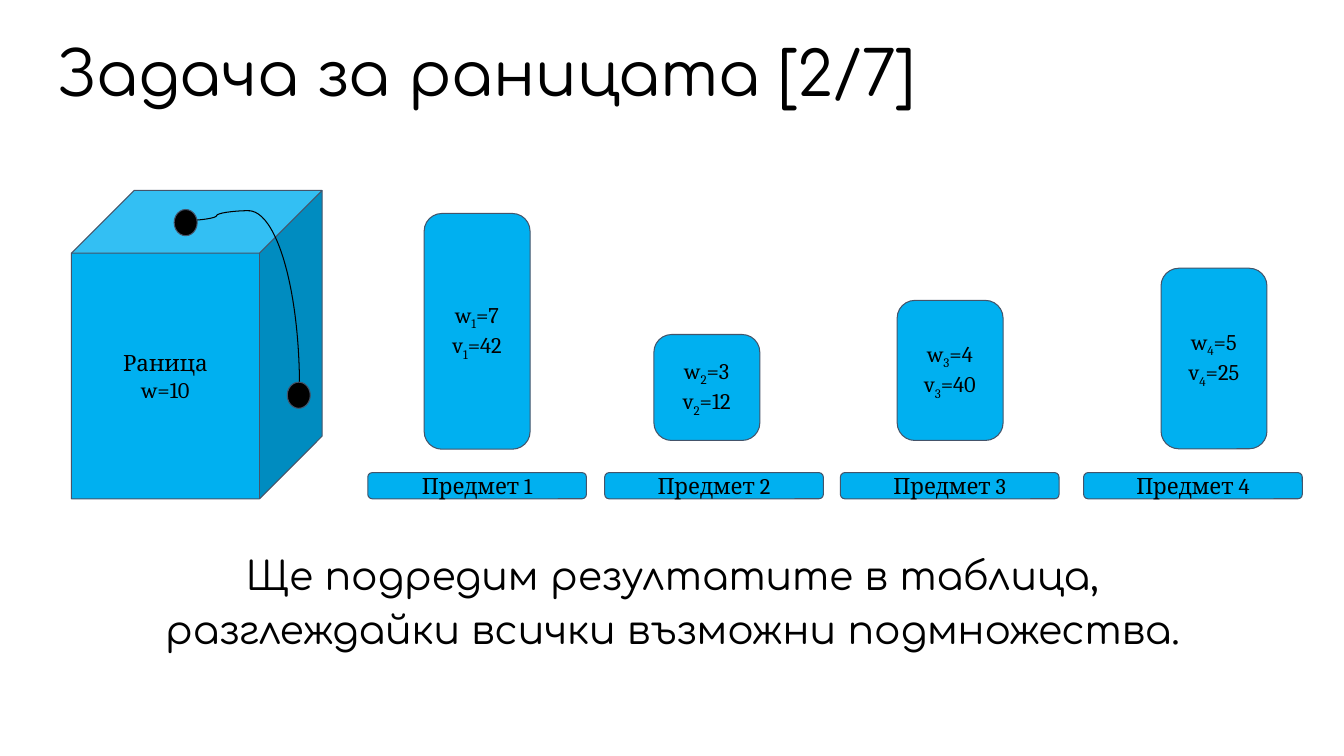
from dataclasses import dataclass

from lxml import etree
from pptx import Presentation
from pptx import util as u
from pptx.dml.color import RGBColor
from pptx.enum import shapes, text
from pptx.oxml.ns import qn


@dataclass(frozen=True)
class Theme:
    fill: RGBColor = RGBColor(0x00, 0xB0, 0xF0)
    outline: RGBColor = RGBColor(0x44, 0x54, 0x6A)
    ink: RGBColor = RGBColor(0x00, 0x00, 0x00)
    heading_font: str = "Comfortaa"
    shape_font: str = "Cambria"
    title_size: float = 44
    body_size: float = 28
    shape_size: float = 16
    line_width: float = 0.75


@dataclass(frozen=True)
class Box:
    left: float
    top: float
    width: float
    height: float

    def lengths(self) -> list[u.Length]:
        return [u.Cm(v) for v in (self.left, self.top, self.width, self.height)]


@dataclass(frozen=True)
class Item:
    number: int
    weight: int
    value: int
    left: float
    top: float
    height: float
    label_left: float


@dataclass(frozen=True)
class Run:
    text: str
    subscript: bool = False


THEME = Theme()
ITEM_WIDTH = 2.67
LABEL_TOP, LABEL_WIDTH, LABEL_HEIGHT = 11.91, 5.51, 0.66
KNAPSACK = Box(1.8, 4.8, 6.32, 7.77)
STRAP = Box(4.98, 5.31, 2.57, 8.92)
KNOBS = [Box(4.39, 5.28, 0.58, 0.66), Box(7.24, 9.63, 0.58, 0.66)]
ITEMS = [
    Item(1, 7, 42, 10.69, 5.38, 5.94, 9.27),
    Item(2, 3, 12, 16.48, 8.43, 2.67, 15.24),
    Item(3, 4, 40, 22.61, 7.57, 3.53, 21.18),
    Item(4, 5, 25, 29.26, 6.76, 4.55, 27.31),
]


def add_run(p, run: Run, font: str, size: float) -> None:
    r = p.add_run()
    r.text = run.text
    r.font.name = font
    r.font.size = u.Pt(size)
    r.font.color.rgb = THEME.ink
    if run.subscript:
        r._r.get_or_add_rPr().set("baseline", "-25000")


def set_insets(tf, horizontal: float, vertical: float) -> None:
    tf.margin_left = tf.margin_right = u.Cm(horizontal)
    tf.margin_top = tf.margin_bottom = u.Cm(vertical)


def style_line(line, color: RGBColor) -> None:
    line.color.rgb = color
    line.width = u.Pt(THEME.line_width)


def add_shape(s, kind, box: Box, fill: RGBColor | None, outline: RGBColor,
              lines: list[list[Run]] | None = None) -> None:
    sp = s.shapes.add_shape(kind, *box.lengths())
    sp.shadow.inherit = False
    style_line(sp.line, outline)
    if fill is None:
        sp.fill.background()
    else:
        sp.fill.solid()
        sp.fill.fore_color.rgb = fill
    if lines:
        tf = sp.text_frame
        tf.vertical_anchor = text.MSO_ANCHOR.MIDDLE
        set_insets(tf, 0.33, 0.33)
        for i, runs in enumerate(lines):
            p = tf.add_paragraph() if i else tf.paragraphs[0]
            p.alignment = text.PP_ALIGN.CENTER
            for run in runs:
                add_run(p, run, THEME.shape_font, THEME.shape_size)


def add_title(s) -> None:
    sp = s.shapes.title
    sp.left, sp.top, sp.width, sp.height = Box(1.14, 0.76, 31.55, 2.36).lengths()
    tf = sp.text_frame
    tf.auto_size = text.MSO_AUTO_SIZE.NONE
    tf.vertical_anchor = text.MSO_ANCHOR.MIDDLE
    set_insets(tf, 0.3, 0.1)
    p = tf.paragraphs[0]
    p.alignment = text.PP_ALIGN.LEFT
    p.line_spacing = 0.9
    add_run(p, Run("Задача за раницата [2/7]"), THEME.heading_font, THEME.title_size)


def add_body(s) -> None:
    tf = s.shapes.add_textbox(*Box(2.34, 13.61, 29.21, 4.22).lengths()).text_frame
    tf.word_wrap = True
    set_insets(tf, 0.1, 0.1)
    p = tf.paragraphs[0]
    p.alignment = text.PP_ALIGN.CENTER
    p.line_spacing = 1.15
    p.space_before = u.Pt(16)
    add_run(p, Run("Ще подредим резултатите в таблица, разглеждайки всички възможни подмножества."),
            THEME.heading_font, THEME.body_size)


def add_item(s, item: Item) -> None:
    lines = [
        [Run(letter), Run(str(item.number), True), Run(f"={amount}")]
        for letter, amount in (("w", item.weight), ("v", item.value))
    ]
    kind = shapes.MSO_SHAPE.ROUNDED_RECTANGLE
    add_shape(s, kind, Box(item.left, item.top, ITEM_WIDTH, item.height),
              THEME.fill, THEME.outline, lines)
    add_shape(s, kind, Box(item.label_left, LABEL_TOP, LABEL_WIDTH, LABEL_HEIGHT),
              THEME.fill, THEME.outline, [[Run(f"Предмет {item.number}")]])


def add_strap(s) -> None:
    add_shape(s, shapes.MSO_SHAPE.ARC, STRAP, None, THEME.ink)
    cxn = s.shapes.add_connector(shapes.MSO_CONNECTOR.CURVE,
                                 u.Cm(4.62), u.Cm(5.56), u.Cm(6.3), u.Cm(5.31))
    style_line(cxn.line, THEME.ink)
    etree.SubElement(cxn._element.spPr, qn("a:effectLst"))
    for knob in KNOBS:
        add_shape(s, shapes.MSO_SHAPE.OVAL, knob, THEME.ink, THEME.outline)


def main() -> None:
    prs = Presentation()
    prs.slide_width, prs.slide_height = u.Cm(33.87), u.Cm(19.05)
    s = prs.slides.add_slide(prs.slide_layouts[5])
    add_title(s)
    add_shape(s, shapes.MSO_SHAPE.CUBE, KNAPSACK, THEME.fill, THEME.outline,
              [[Run("Раница")], [Run("w=10")]])
    for item in ITEMS:
        add_item(s, item)
    add_strap(s)
    add_body(s)
    prs.save("out.pptx")


if __name__ == "__main__":
    main()
